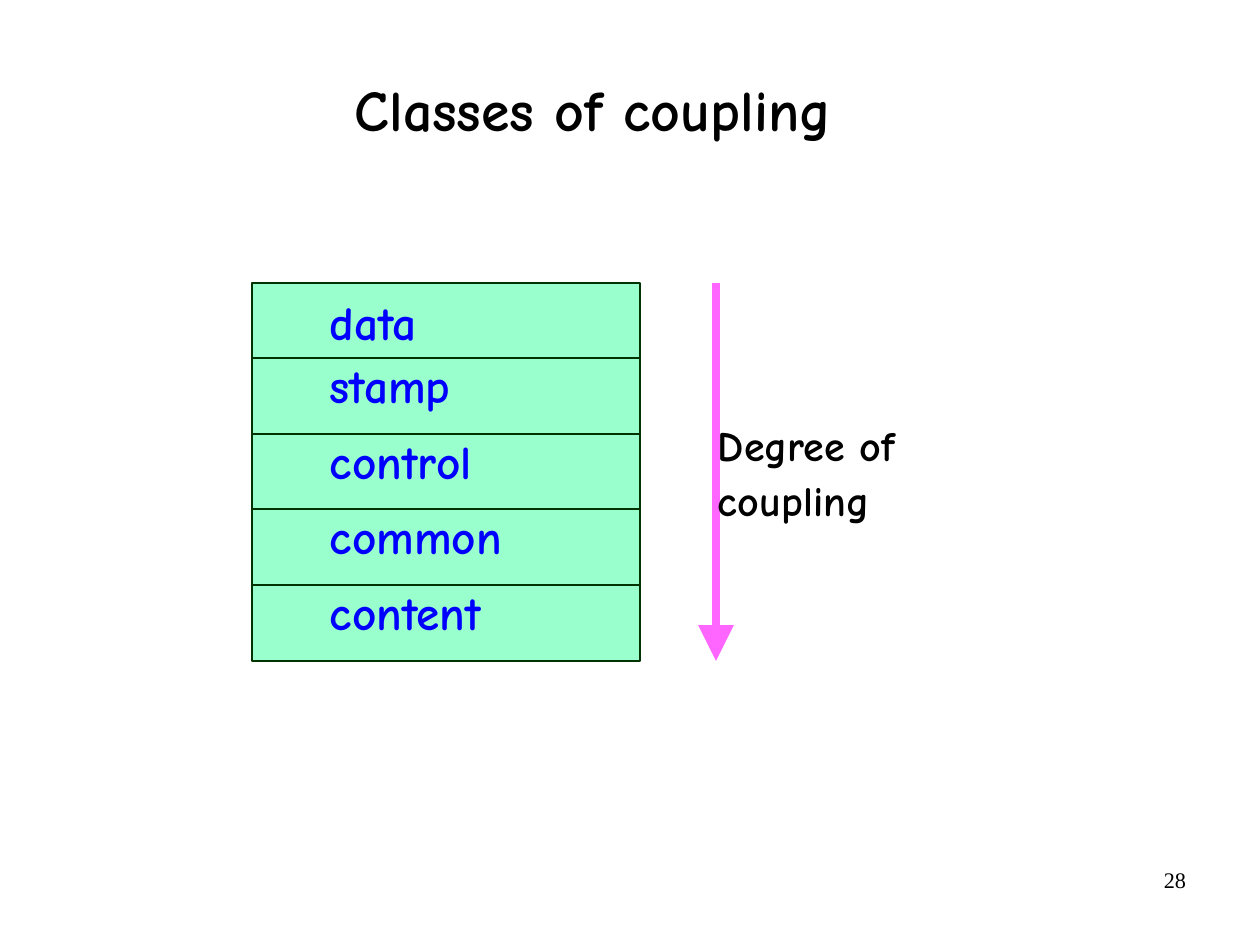
"""Builds the slide that ranks the classes of coupling."""
from dataclasses import dataclass

from lxml import etree
from pptx import Presentation
from pptx.dml.color import RGBColor
from pptx.enum.shapes import MSO_CONNECTOR, MSO_SHAPE
from pptx.enum.text import MSO_ANCHOR, PP_ALIGN
from pptx.oxml.ns import qn
from pptx.util import Pt

STRAIGHT = MSO_CONNECTOR.STRAIGHT
ROUNDED = MSO_SHAPE.ROUNDED_RECTANGLE
TOP, MIDDLE = MSO_ANCHOR.TOP, MSO_ANCHOR.MIDDLE
LEFT, CENTER, RIGHT = PP_ALIGN.LEFT, PP_ALIGN.CENTER, PP_ALIGN.RIGHT
EMU_PER_PX = 8000


@dataclass(frozen=True)
class TextStyle:
    """Holds the look of one kind of text."""
    size: float
    color: str = "000000"
    font: str = "Comic Neue"
    bold: bool = True
    align: PP_ALIGN = LEFT
    anchor: MSO_ANCHOR = TOP
    spacing: float = 1.1
    before: float = 0
    inset: tuple = (2, 5)


@dataclass(frozen=True)
class Theme:
    """Holds the colours and text styles of the slide."""
    background: str = "FFFFFF"
    level_fill: str = "99FFCC"
    level_line: str = "003300"
    level_width: float = 0.75
    arrow: str = "FF66FF"
    arrow_width: float = 4.5
    title: TextStyle = TextStyle(36.4, align=CENTER, anchor=MIDDLE,
                                 spacing=0.88, before=8.2)
    level: TextStyle = TextStyle(29.8, color="0000FF", before=11.3)
    caption: TextStyle = TextStyle(26.5, before=9.4)
    number: TextStyle = TextStyle(14, font="Times New Roman", bold=False,
                                  align=RIGHT, spacing=1.0, inset=(11, 6))


def px(*lengths):
    """Turns px lengths into a list of EMU."""
    return [length * EMU_PER_PX for length in lengths]


class SlideBuilder:
    """Draws themed elements on the current slide."""

    def __init__(self, page, theme):
        """Keeps the slide and theme and paints the background."""
        self.page = page
        self.theme = theme
        fill = page.background.fill
        fill.solid()
        fill.fore_color.rgb = RGBColor.from_string(theme.background)

    def text(self, wording, style, left, top, width, height):
        """Adds a text box in the given style."""
        box = self.page.shapes.add_textbox(*px(left, top, width, height))
        frame = box.text_frame
        frame.word_wrap = True
        frame.vertical_anchor = style.anchor
        side, edge = px(*style.inset)
        frame.margin_left = frame.margin_right = side
        frame.margin_top = frame.margin_bottom = edge
        para = frame.paragraphs[0]
        para.text = wording
        para.alignment = style.align
        para.line_spacing = style.spacing
        para.space_before = Pt(style.before)
        para.font.name = style.font
        para.font.size = Pt(style.size)
        para.font.bold = style.bold
        para.font.color.rgb = RGBColor.from_string(style.color)

    def level_box(self, left, top, width, height):
        """Adds one box of the stack of levels."""
        box = self.page.shapes.add_shape(ROUNDED, *px(left, top, width, height))
        box.adjustments[0] = 0
        box.shadow.inherit = False
        box.fill.solid()
        box.fill.fore_color.rgb = RGBColor.from_string(self.theme.level_fill)
        box.line.color.rgb = RGBColor.from_string(self.theme.level_line)
        box.line.width = Pt(self.theme.level_width)

    def arrow(self, start_x, start_y, end_x, end_y):
        """Adds a thick arrow with its head at the end."""
        line = self.page.shapes.add_connector(
            STRAIGHT, *px(start_x, start_y, end_x, end_y))
        line.line.color.rgb = RGBColor.from_string(self.theme.arrow)
        line.line.width = Pt(self.theme.arrow_width)
        outline = line.line._get_or_add_ln()
        etree.SubElement(outline, qn("a:tailEnd"), type="triangle", w="lg", len="lg")
        etree.SubElement(line._element.spPr, qn("a:effectLst"))


def main():
    """Builds and saves the deck."""
    deck = Presentation()
    deck.slide_width, deck.slide_height = px(1260, 945)
    theme = Theme()
    slide = SlideBuilder(deck.slides.add_slide(deck.slide_layouts[6]), theme)

    slide.text("28", theme.number, 903, 860, 294, 65)
    slide.text("Classes of coupling", theme.title, 192, 54, 802, 118)

    levels = ["data", "stamp", "control", "common", "content"]
    stack_top, stack_height, row_height, label_lift = 283, 378, 76, 12
    row_tops = [stack_top + stack_height * row // len(levels)
                for row in range(len(levels))]
    for row_top in row_tops:
        slide.level_box(252, row_top, 388, row_height)
    for level, row_top in zip(levels, row_tops):
        label_top = max(stack_top, row_top - label_lift)
        slide.text(level, theme.level, 328, label_top, 331, row_height)

    slide.arrow(716, stack_top, 716, stack_top + stack_height)
    slide.text("Degree of\vcoupling", theme.caption, 716, 409, 331, 115)
    deck.save("out.pptx")


if __name__ == "__main__":
    main()
